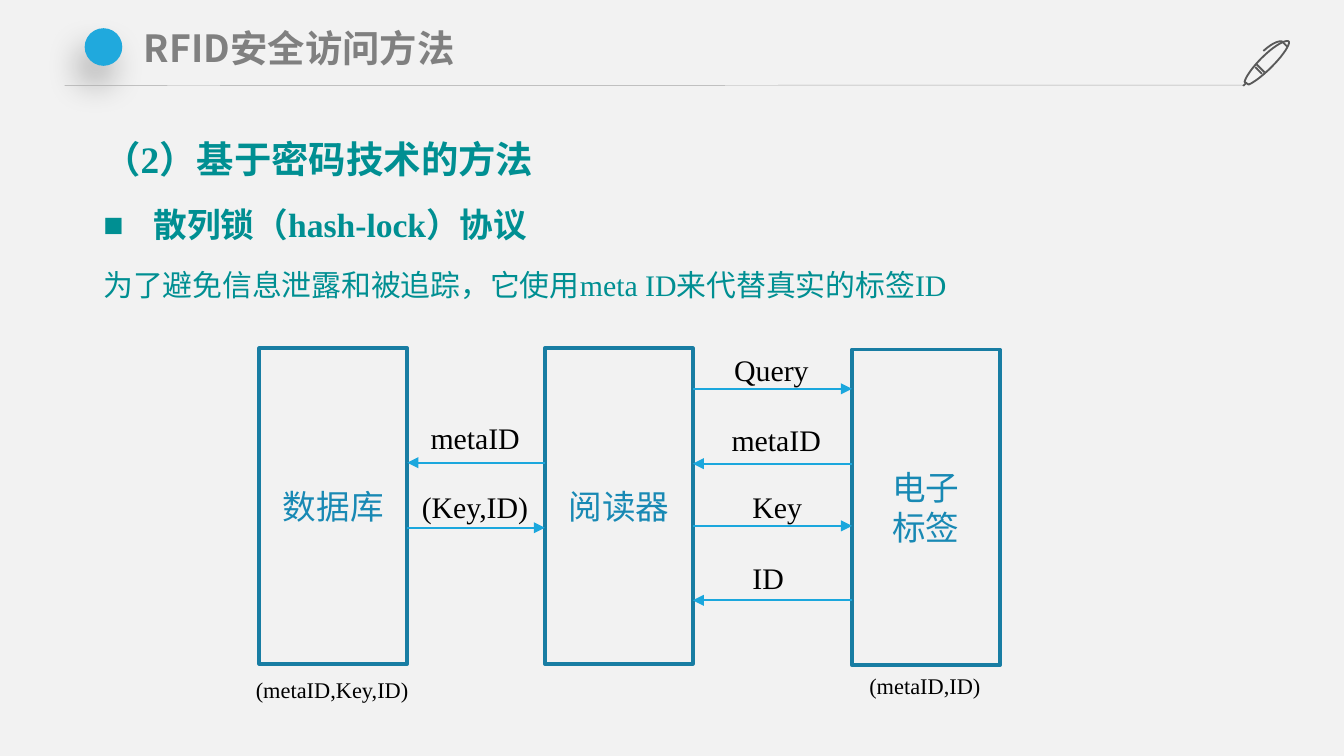
from lxml.etree import SubElement
from pptx import Presentation
from pptx.dml.color import RGBColor
from pptx.enum.shapes import MSO_CONNECTOR, MSO_SHAPE
from pptx.enum.text import MSO_ANCHOR, MSO_AUTO_SIZE, PP_ALIGN
from pptx.oxml.ns import qn
from pptx.util import Inches, Pt

SERIF, SANS = "Times New Roman", "Noto Sans CJK SC"
TEAL = "008F92"

deck = Presentation()
deck.slide_width = Inches(10)
deck.slide_height = deck.slide_width * 9 // 16
CELL = deck.slide_width // 100  # square grid, 100 columns across the slide


def cells(*counts):
    return [round(count * CELL) for count in counts]


def style(paragraph, size, face, color, bold=False):
    """Format a whole paragraph, East Asian glyphs included."""
    font = paragraph.font
    font.size, font.name, font.bold = Pt(size), face, bold
    font.color.rgb = RGBColor.from_string(color)
    SubElement(paragraph._p.pPr.find(qn("a:defRPr")), qn("a:ea"), typeface=SANS)


slide = deck.slides.add_slide(deck.slide_layouts[5])
slide.background.fill.solid()
slide.background.fill.fore_color.rgb = RGBColor.from_string("F2F2F2")
shapes = slide.shapes

# Header: title, dot and pen
title = shapes.title
title.left, title.top, title.width, title.height = cells(9.8, 1.4, 82.7, 4.3)
heading = title.text_frame
heading.text = "RFID安全访问方法"
heading.auto_size = MSO_AUTO_SIZE.NONE
heading.vertical_anchor = MSO_ANCHOR.MIDDLE
heading.margin_left, heading.margin_top, heading.margin_right, heading.margin_bottom = cells(0.9, 0.4, 0.9, 0.4)
heading.paragraphs[0].alignment = PP_ALIGN.LEFT
style(heading.paragraphs[0], 20, SANS, "808080", True)

dot = shapes.add_shape(MSO_SHAPE.OVAL, *cells(6.3, 2.1, 2.8, 2.8))
dot.fill.solid()
dot.fill.fore_color.rgb = RGBColor.from_string("20A9DD")
dot.line.fill.background()
dot.shadow.inherit = False
shadow = SubElement(dot._element.spPr.find(qn("a:effectLst")), qn("a:outerShdw"),
                    blurRad=str(Pt(18)), dist=str(Pt(11)), dir=str(113 * 60000),
                    algn="ctr", rotWithShape="0")
shade = SubElement(shadow, qn("a:srgbClr"), val="000000")
SubElement(shade, qn("a:alpha"), val="27000")

# Each pen stroke: a start point, then cubic curves (two controls and an end)
pen_strokes = [
    [(93.9, 5.5), (93.4, 5), (93.4, 5), (93.4, 5)],
    [(93.5, 4.8), (94.1, 5.4), (94.1, 5.4), (94.1, 5.4)],
    [(95.9, 3.1), (95.7, 2.9), (94.8, 3.4), (93.9, 4.3),
     (93.2, 5), (92.7, 5.7), (92.6, 6.1), (92.9, 6.3), (92.9, 6.3), (92.9, 6.3),
     (93.2, 6.2), (93.9, 5.7), (94.6, 5), (95.5, 4.1), (96, 3.3), (95.9, 3.1)],
    [(92.7, 6.2), (92.5, 6.4), (92.5, 6.4), (92.5, 6.4)],
    [(95.8, 3.5), (95.8, 3.5), (95.6, 3.3), (95.4, 3.1),
     (95.4, 3.1), (95, 2.9), (94, 3.8)],
]
STEPS = 10
builder = shapes.build_freeform(*cells(*pen_strokes[0][0]))
for stroke in pen_strokes:
    builder.move_to(*cells(*stroke[0]))
    for i in range(0, len(stroke) - 1, 3):
        curve = stroke[i:i + 4]
        points = []
        for step in range(1, STEPS + 1):
            t = step / STEPS
            weights = ((1 - t) ** 3, 3 * t * (1 - t) ** 2, 3 * t * t * (1 - t), t ** 3)
            points.append(cells(*(sum(w * p[axis] for w, p in zip(weights, curve)) for axis in (0, 1))))
        builder.add_line_segments(points, close=False)
pen = builder.convert_to_shape()
pen.fill.background()
pen.line.color.rgb = RGBColor.from_string("595959")
pen.line.width = Pt(1)
pen.shadow.inherit = False

# Introduction
intro = shapes.add_textbox(*cells(6.7, 8.65, 89.8, 14.3)).text_frame
intro.word_wrap = True
intro_lines = [
    ("（2）基于密码技术的方法", 20, True, False),
    ("散列锁（hash-lock）协议", 18, True, True),
    ("为了避免信息泄露和被追踪，它使用meta ID来代替真实的标签ID", 16, False, False),
]
for i, (words, size, bold, bulleted) in enumerate(intro_lines):
    line = intro.add_paragraph() if i else intro.paragraphs[0]
    line.text = words
    line.line_spacing = 1.3
    line.space_before, line.space_after = Pt(3 if i else 0), Pt(3)
    if bulleted:
        properties = line._p.get_or_add_pPr()
        indent = cells(3.75)[0]
        properties.set("marL", str(indent))
        properties.set("indent", str(-indent))
        SubElement(properties, qn("a:buFont"), typeface="Arial")
        SubElement(properties, qn("a:buChar"), char="■")
    style(line, size, SERIF, TEAL, bold)

# Protocol parties
PARTY_WIDTH, PARTY_HEIGHT = 11, 23.5
DATABASE, READER, TAG = 19.3, 40.55, 63.4
for left, top, names in [(DATABASE, 25.9, ["数据库"]), (READER, 25.9, ["阅读器"]), (TAG, 26, ["电子", "标签"])]:
    party = shapes.add_shape(MSO_SHAPE.RECTANGLE, *cells(left, top, PARTY_WIDTH, PARTY_HEIGHT))
    party.fill.background()
    party.line.color.rgb = RGBColor.from_string("187DA3")
    party.line.width = Pt(2)
    party.shadow.inherit = False
    party.text_frame.word_wrap = True
    party.text_frame.vertical_anchor = MSO_ANCHOR.MIDDLE
    party.text_frame.text = "\n".join(names)
    for name in party.text_frame.paragraphs:
        name.alignment = PP_ALIGN.CENTER
        style(name, 18, SANS, "1889B4")

# Header rule and messages: start, end, color, width, arrowhead
lines = [((4.8, 6.37), (92.5, 6.33), "A6A6A6", 0.25, False)]
for sender, receiver, row in [
    (READER, DATABASE, 34.43), (DATABASE, READER, 39.27),
    (READER, TAG, 28.93), (TAG, READER, 34.5), (READER, TAG, 39.13), (TAG, READER, 44.67),
]:
    rightward = sender < receiver
    start = sender + PARTY_WIDTH * rightward
    end = receiver + PARTY_WIDTH * (not rightward)
    lines.append(((start, row), (end, row), "1BA7DD", 1, True))
for start, end, color, width, arrow in lines:
    connector = shapes.add_connector(MSO_CONNECTOR.STRAIGHT, *cells(*start, *end))
    connector.line.color.rgb = RGBColor.from_string(color)
    connector.line.width = Pt(width)
    if arrow:
        SubElement(connector.line._get_or_add_ln(), qn("a:tailEnd"), type="triangle")
    SubElement(connector._element.spPr, qn("a:effectLst"))

# Message labels, and what each party stores
for words, size, left, top, width, height in [
    ("metaID", 16, 31.05, 30.75, 8.8, 3.7),
    ("(Key,ID)", 16, 30.4, 35.9, 10, 3.7),
    ("Query", 16, 53.65, 25.7, 7.6, 3.7),
    ("metaID", 16, 53.45, 30.9, 8.8, 3.7),
    ("Key", 16, 55, 35.9, 5.8, 3.7),
    ("ID", 16, 55, 41.15, 4.4, 3.7),
    ("(metaID,Key,ID)", 12, 18.05, 49.8, 13.5, 3),
    ("(metaID,ID)", 12, 63.7, 49.55, 10.4, 3),
]:
    label = shapes.add_textbox(*cells(left, top, width, height)).text_frame
    label.word_wrap = False
    label.text = words
    style(label.paragraphs[0], size, SERIF, "000000")

deck.save("out.pptx")
